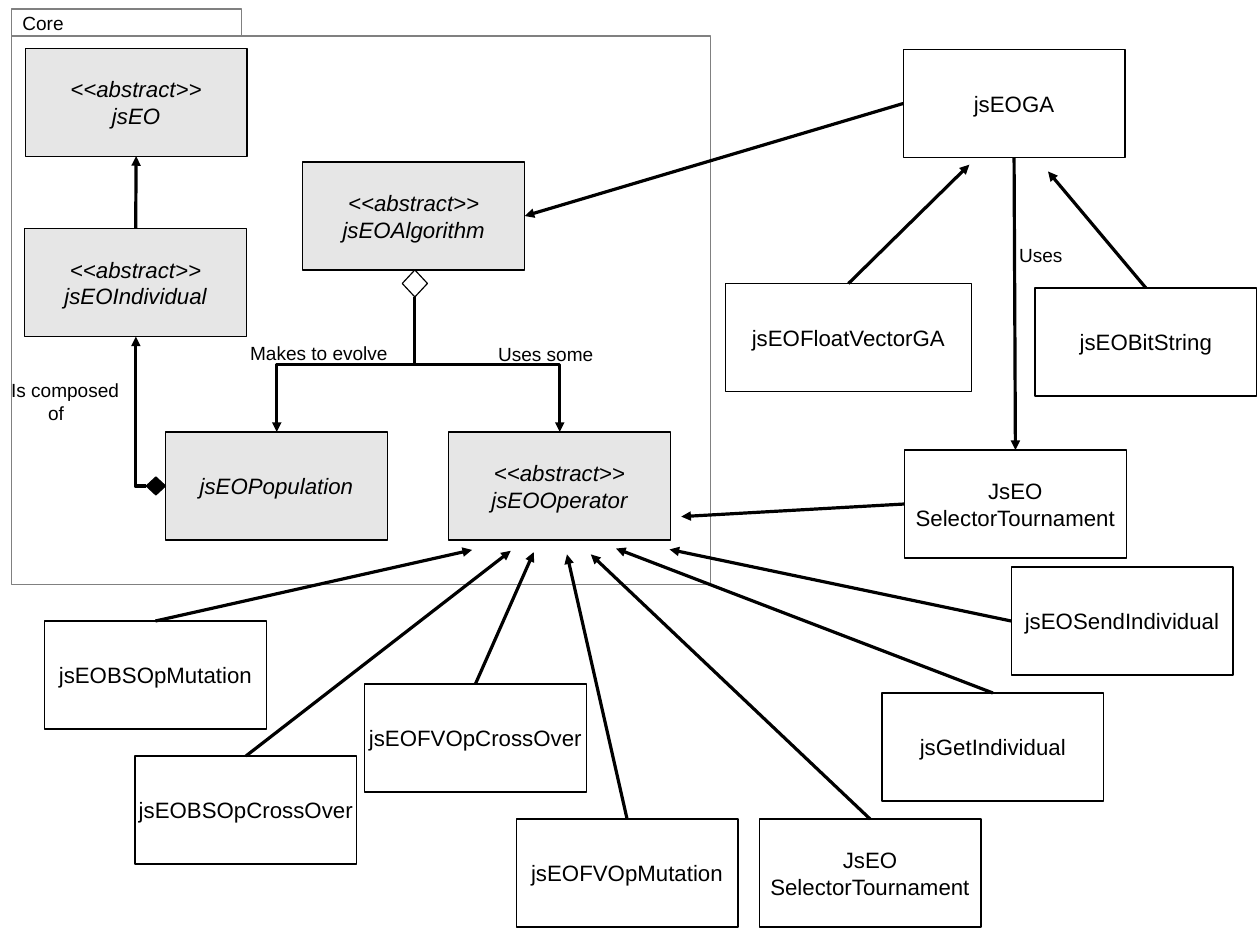
from dataclasses import dataclass

import pptx
import pptx.dml.color
import pptx.enum.shapes
import pptx.enum.text
import pptx.oxml
import pptx.oxml.ns
import pptx.util
from pptx.util import Cm

SHAPE = pptx.enum.shapes.MSO_SHAPE
LINE = pptx.enum.shapes.MSO_CONNECTOR
ALIGN = pptx.enum.text.PP_ALIGN
TOP, LEFT, BOTTOM, RIGHT = range(4)
COLORS = {"black": "000000", "white": "FFFFFF", "core": "E6E6E6", "frame": "808080"}
WIDE, HIGH = 4.93, 2.4


@dataclass
class Box:
    text: str
    x: float
    y: float
    core: bool = False
    wide: float = WIDE


@dataclass
class Link:
    start: str
    side: int
    goal: str | tuple[float, float]
    end: int = BOTTOM


@dataclass
class Bend:
    start: tuple[float, float]
    goal: tuple[float, float]
    turn: int
    kind: str = "bentConnector3"
    bends: tuple[float, ...] = (0.5,)


@dataclass
class Label:
    text: str
    x: float
    y: float
    wide: float
    high: float = 0.74
    indent: float = 0  # left margin of the lines after the first


BOXES = {
    # Core classes
    "base": Box("<<abstract>>\njsEO", 0.56, 1.07, True),
    "single": Box("<<abstract>>\njsEOIndividual", 0.55, 5.08, True),
    "group": Box("jsEOPopulation", 3.68, 9.6, True),
    "algo": Box("<<abstract>>\njsEOAlgorithm", 6.73, 3.6, True),
    "oper": Box("<<abstract>>\njsEOOperator", 9.97, 9.6, True),
    # Genetic algorithms
    "ga": Box("jsEOGA", 20.07, 1.1),
    "bits": Box("jsEOBitString", 23, 6.4),
    "float": Box("jsEOFloatVectorGA", 16.12, 6.3, wide=5.47),
    # Operators
    "select": Box("JsEO\nSelectorTournament", 20.1, 10),
    "bsmut": Box("jsEOBSOpMutation", 0.99, 13.8),
    "bscross": Box("jsEOBSOpCrossOver", 3, 16.8),
    "fvmut": Box("jsEOFVOpMutation", 11.47, 18.2),
    "fvcross": Box("jsEOFVOpCrossOver", 8.1, 15.2),
    "contest": Box("JsEO\nSelectorTournament", 16.87, 18.2),
    "send": Box("jsEOSendIndividual", 22.47, 12.6),
    "get": Box("jsGetIndividual", 19.6, 15.4),
}

LINKS = [
    Link("single", TOP, "base"),
    Link("ga", LEFT, "algo", RIGHT),
    Link("ga", BOTTOM, "select", TOP),
    Link("bits", TOP, (23.29, 3.81)),
    Link("float", TOP, (21.54, 3.66)),
    Link("select", LEFT, (15.14, 11.48)),
    Link("bsmut", TOP, (10.49, 12.22)),
    Link("bscross", TOP, (11.35, 12.24)),
    Link("fvcross", TOP, (11.86, 12.27)),
    Link("fvmut", TOP, (12.6, 12.32)),
    Link("contest", TOP, (13.13, 12.32)),
    Link("get", TOP, (13.69, 12.19)),
    Link("send", LEFT, (14.88, 12.21)),
]

BENDS = [
    Bend((9.22, 6.6), (6.15, 9.6), 90),
    Bend((9.22, 6.6), (12.44, 9.6), 270),
    Bend((3.25, 10.8), (3.02, 7.48), 180, "bentConnector4", (1.07, 0.54)),
]

LABELS = [
    Label("Makes to evolve", 5.31, 7.47, 3.58),
    Label("Uses some", 10.82, 7.49, 2.62),
    Label("Is composed\nof", 0, 8.28, 2.92, 1.19, 0.82),
    Label("Uses", 22.4, 5.28, 1.47),
]


def paint(name: str) -> pptx.dml.color.RGBColor:
    return pptx.dml.color.RGBColor.from_string(COLORS[name])


def write(shape, text: str, *, size: int = 14, slant: bool = False,
          align=ALIGN.CENTER, indent: float = 0) -> None:
    frame = shape.text_frame
    frame.word_wrap = False
    for row, words in enumerate(text.split("\n")):
        para = frame.add_paragraph() if row else frame.paragraphs[0]
        para.alignment = align
        if row and indent:
            para._p.get_or_add_pPr().set("marL", str(Cm(indent)))
        run = para.add_run()
        run.text = words
        run.font.name = "Arial"
        run.font.size = pptx.util.Pt(size)
        run.font.italic = slant
        run.font.color.rgb = paint("black")


def draw(slide, kind, x: float, y: float, wide: float, high: float,
         fill: str | None, edge: str = "black"):
    shape = slide.shapes.add_shape(kind, Cm(x), Cm(y), Cm(wide), Cm(high))
    shape.shadow.inherit = False
    if fill:
        shape.fill.solid()
        shape.fill.fore_color.rgb = paint(fill)
    else:
        shape.fill.background()
    shape.line.color.rgb = paint(edge)
    shape.line.width = 0
    shape.text_frame.vertical_anchor = pptx.enum.text.MSO_ANCHOR.MIDDLE
    return shape


def arrow(slide, kind, start: tuple[float, float], goal: tuple[float, float]):
    line = slide.shapes.add_connector(kind, *map(Cm, start + goal))
    line.line.color.rgb = paint("black")
    line.line.width = 0
    props = line._element.spPr
    tail = pptx.oxml.parse_xml(
        f'<a:tailEnd {pptx.oxml.ns.nsdecls("a")} type="triangle"/>')
    props.find(pptx.oxml.ns.qn("a:ln")).append(tail)
    props.append(pptx.oxml.parse_xml(f'<a:effectLst {pptx.oxml.ns.nsdecls("a")}/>'))
    return line


def join(slide, link: Link, nodes: dict) -> None:
    fixed = isinstance(link.goal, str)
    line = arrow(slide, LINE.STRAIGHT, (0, 0), (0, 0) if fixed else link.goal)
    line.begin_connect(nodes[link.start], link.side)
    if fixed:
        line.end_connect(nodes[link.goal], link.end)


def bend(slide, item: Bend) -> None:
    (ax, ay), (bx, by) = item.start, item.goal
    wide, high = abs(bx - ax), abs(by - ay)
    if item.turn != 180:  # a quarter turn swaps the sides of the frame
        wide, high = high, wide
    x, y = (ax + bx - wide) / 2, (ay + by - high) / 2
    line = arrow(slide, LINE.ELBOW, (x, y), (x + wide, y + high))
    props = line._element.spPr
    place = props.find(pptx.oxml.ns.qn("a:xfrm"))
    place.set("rot", str(item.turn * 60000))
    if item.turn == 270:
        place.set("flipH", "1")
    shape = props.find(pptx.oxml.ns.qn("a:prstGeom"))
    shape.set("prst", item.kind)
    guides = shape.find(pptx.oxml.ns.qn("a:avLst"))
    for place, part in enumerate(item.bends, 1):
        guides.append(pptx.oxml.parse_xml(
            f'<a:gd {pptx.oxml.ns.nsdecls("a")} name="adj{place}" '
            f'fmla="val {round(part * 100000)}"/>'))


def main() -> None:
    deck = pptx.Presentation()
    deck.slide_width, deck.slide_height = Cm(28), Cm(21)
    slide = deck.slides.add_slide(deck.slide_layouts[6])

    # Core package
    draw(slide, SHAPE.RECTANGLE, 0.25, 0.8, 15.55, 12.19, None, "frame")
    tab = draw(slide, SHAPE.FLOWCHART_PROCESS, 0.25, 0.2, 5.12, 0.6, "white", "frame")
    write(tab, "Core", size=12, align=ALIGN.LEFT)

    # Classes
    nodes = {}
    for key, box in BOXES.items():
        nodes[key] = draw(slide, SHAPE.FLOWCHART_PROCESS, box.x, box.y, box.wide,
                          HIGH, "core" if box.core else "white")
        write(nodes[key], box.text, slant=box.core)

    # Arrows
    for link in LINKS:
        join(slide, link, nodes)
    for item in BENDS:
        bend(slide, item)
    draw(slide, SHAPE.DIAMOND, 8.94, 6, 0.56, 0.6, "white")
    draw(slide, SHAPE.DIAMOND, 3.25, 10.6, 0.43, 0.4, "black")

    # Captions
    for label in LABELS:
        note = slide.shapes.add_textbox(*map(Cm, (label.x, label.y, label.wide, label.high)))
        write(note, label.text, size=12, align=ALIGN.LEFT, indent=label.indent)
        note.text_frame.auto_size = pptx.enum.text.MSO_AUTO_SIZE.SHAPE_TO_FIT_TEXT

    deck.save("out.pptx")


if __name__ == "__main__":
    main()
